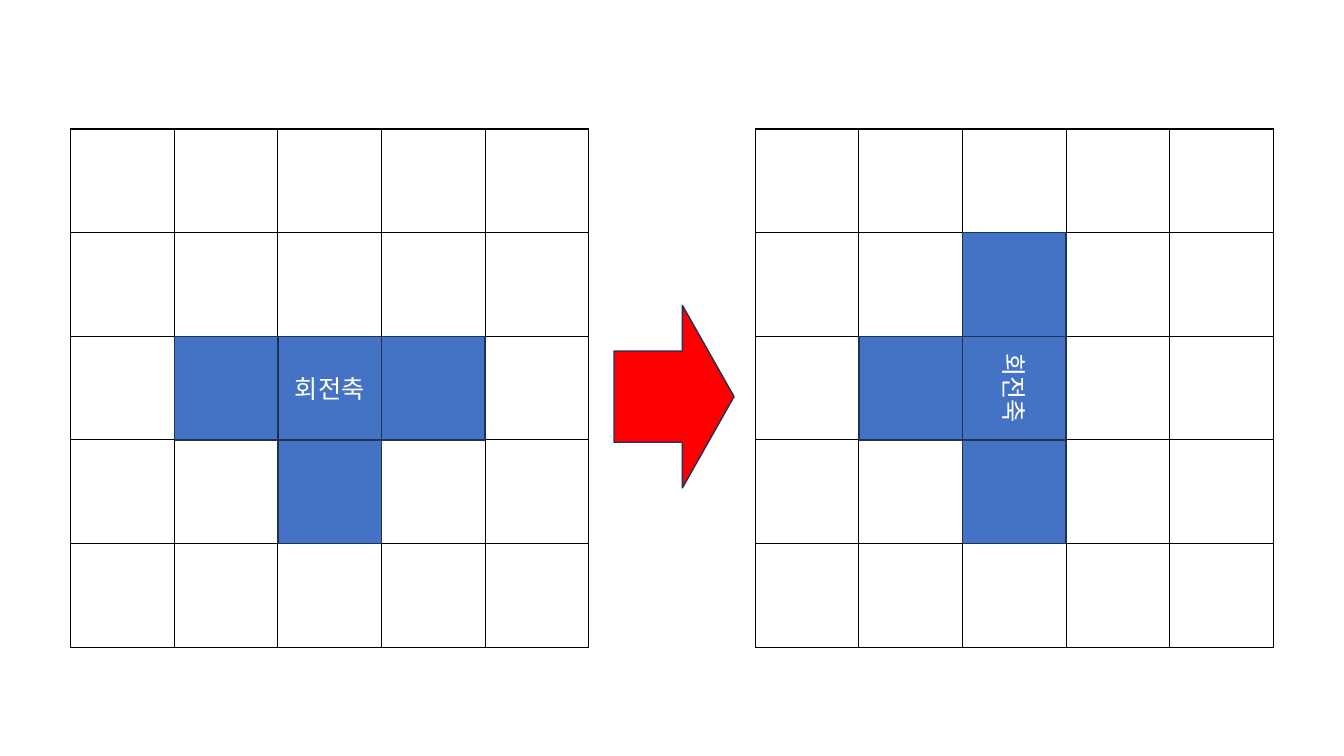
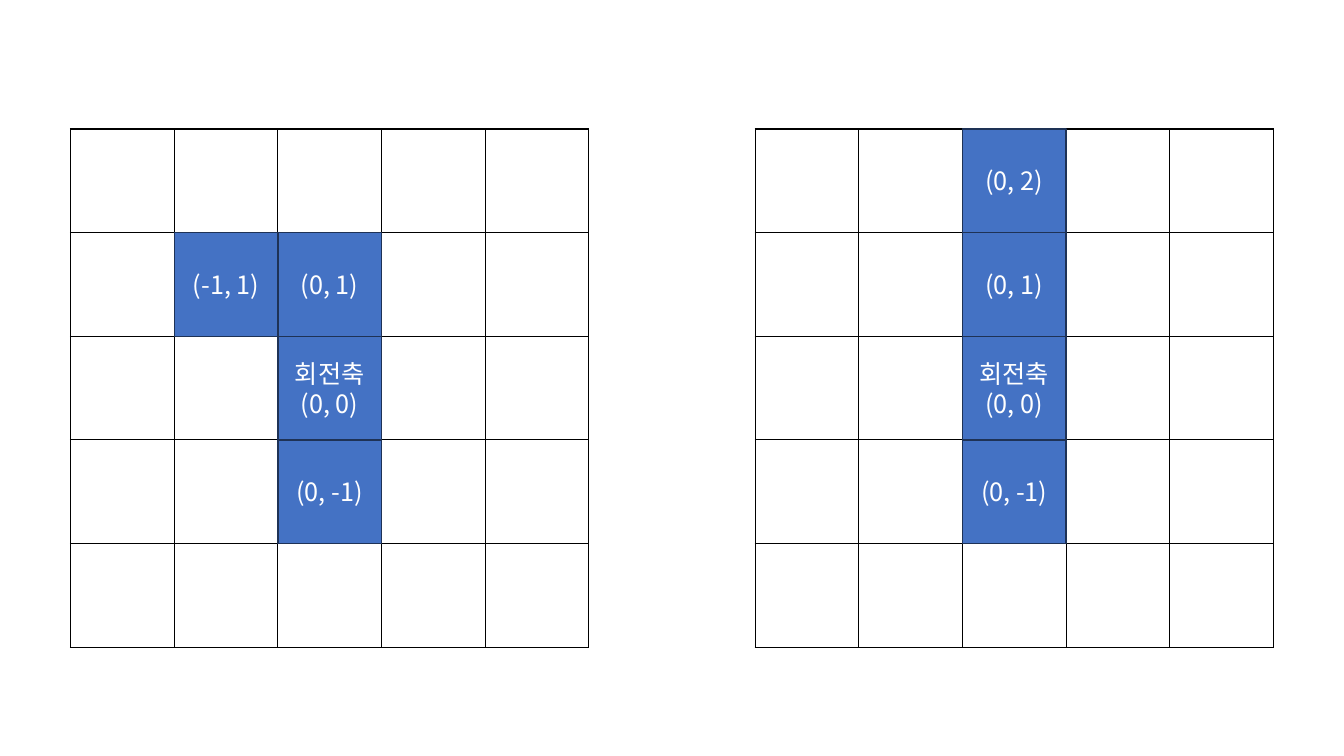
import dataclasses
import typing

import lxml.etree
import pptx
import pptx.dml.color
import pptx.enum.shapes
import pptx.enum.text
import pptx.oxml.ns
import pptx.util

Inches = pptx.util.Inches
Pt = pptx.util.Pt
qn = pptx.oxml.ns.qn
ShapeType = pptx.enum.shapes.MSO_SHAPE

COLORS = {
    "paper": "FFFFFF",
    "grid": "000000",
    "block": "4472C4",
    "outline": "1E3256",
    "arrow": "FF0000",
    "text": "FFFFFF",
}
FONT = "Noto Sans CJK KR"
FONT_FORMAT = {"name": FONT, "size": Pt(18)}
TABLE_FORMAT = {"first_row": False, "horz_banding": False}
FRAME_FORMAT = {"word_wrap": True, "vertical_anchor": pptx.enum.text.MSO_ANCHOR.MIDDLE}
PIVOT_LABEL = "회전축"

CELL_COUNT = 5
PIVOT_CELL = CELL_COUNT // 2
CELL = Inches(5.14 / CELL_COUNT)
BOARD_TOP = Inches(1.28)
LEFT_BOARD, RIGHT_BOARD = Inches(0.7), Inches(7.49)

Offset = tuple[int, int]


@dataclasses.dataclass(frozen=True)
class Piece:
    """Blocks as (x, y) offsets from the pivot, with y pointing up."""

    board_left: int
    offsets: tuple[Offset, ...]
    rotation: int = 0
    grouped: bool = False
    show_offsets: bool = False

    def turned_clockwise(self, board_left: int) -> "Piece":
        return dataclasses.replace(
            self,
            board_left=board_left,
            offsets=tuple((y, -x) for x, y in self.offsets),
            rotation=self.rotation + 90,
        )

    def label_lines(self, offset: Offset) -> list[str]:
        lines = [PIVOT_LABEL] if offset == (0, 0) else []
        if self.show_offsets:
            lines.append(f"({offset[0]}, {offset[1]})")
        return lines


T_PIECE = Piece(LEFT_BOARD, ((0, -1), (0, 0), (1, 0), (-1, 0)), grouped=True)
J_PIECE = Piece(LEFT_BOARD, ((0, 1), (0, 0), (0, -1), (-1, 1)), show_offsets=True)
I_PIECE = Piece(RIGHT_BOARD, ((0, 1), (0, 0), (0, -1), (0, 2)), show_offsets=True)


def rgb(name: str) -> pptx.dml.color.RGBColor:
    return pptx.dml.color.RGBColor.from_string(COLORS[name])


def apply_format(target: typing.Any, values: dict[str, typing.Any]) -> None:
    for name, value in values.items():
        setattr(target, name, value)


def add_borders(cell: typing.Any) -> None:
    properties = cell._tc.get_or_add_tcPr()
    for position, side in enumerate(("lnL", "lnR", "lnT", "lnB")):
        line = lxml.etree.Element(qn(f"a:{side}"), w=str(Pt(1)))
        fill = lxml.etree.SubElement(line, qn("a:solidFill"))
        lxml.etree.SubElement(fill, qn("a:srgbClr"), val=COLORS["grid"])
        properties.insert(position, line)


def add_board(page: typing.Any, left: int) -> None:
    side = CELL * CELL_COUNT
    frame = page.shapes.add_table(CELL_COUNT, CELL_COUNT, left, BOARD_TOP, side, side)
    table = frame.table
    apply_format(table, TABLE_FORMAT)
    for column in table.columns:
        column.width = CELL
    for row in table.rows:
        row.height = CELL
    for cell in table.iter_cells():
        cell.fill.solid()
        cell.fill.fore_color.rgb = rgb("paper")
        add_borders(cell)


def style_shape(shape: typing.Any, fill: str) -> None:
    shape.shadow.inherit = False
    shape.fill.solid()
    shape.fill.fore_color.rgb = rgb(fill)
    shape.line.color.rgb = rgb("outline")
    shape.line.width = Pt(1)


def write_label(box: typing.Any, lines: list[str]) -> None:
    frame = box.text_frame
    apply_format(frame, FRAME_FORMAT)
    for index, text in enumerate(lines):
        para = frame.add_paragraph() if index else frame.paragraphs[0]
        para.alignment = pptx.enum.text.PP_ALIGN.CENTER
        span = para.add_run()
        span.text = text
        apply_format(span.font, FONT_FORMAT)
        span.font.color.rgb = rgb("text")
        lxml.etree.SubElement(span._r.get_or_add_rPr(), qn("a:ea"), typeface=FONT)


def add_piece(page: typing.Any, piece: Piece) -> None:
    shapes = page.shapes.add_group_shape().shapes if piece.grouped else page.shapes
    for offset in piece.offsets:
        x, y = offset
        left = piece.board_left + CELL * (PIVOT_CELL + x)
        top = BOARD_TOP + CELL * (PIVOT_CELL - y)
        box = shapes.add_shape(ShapeType.RECTANGLE, left, top, CELL, CELL)
        box.rotation = piece.rotation
        style_shape(box, "block")
        write_label(box, piece.label_lines(offset))


def add_turn_arrow(page: typing.Any) -> None:
    arrow = page.shapes.add_shape(
        ShapeType.RIGHT_ARROW, Inches(6.09), Inches(3.03), Inches(1.19), Inches(1.81)
    )
    arrow.adjustments[0] = 0.5
    arrow.adjustments[1] = 0.43
    style_shape(arrow, "arrow")


def add_page(deck: typing.Any, pieces: tuple[Piece, ...]) -> typing.Any:
    page = deck.slides.add_slide(deck.slide_layouts[6])
    for piece in pieces:
        add_board(page, piece.board_left)
        add_piece(page, piece)
    return page


def main() -> None:
    deck = pptx.Presentation()
    deck.slide_width, deck.slide_height = Inches(13.33), Inches(7.5)
    turn_page = add_page(deck, (T_PIECE, T_PIECE.turned_clockwise(RIGHT_BOARD)))
    add_turn_arrow(turn_page)
    add_page(deck, (J_PIECE, I_PIECE))
    deck.save("out.pptx")


if __name__ == "__main__":
    main()
